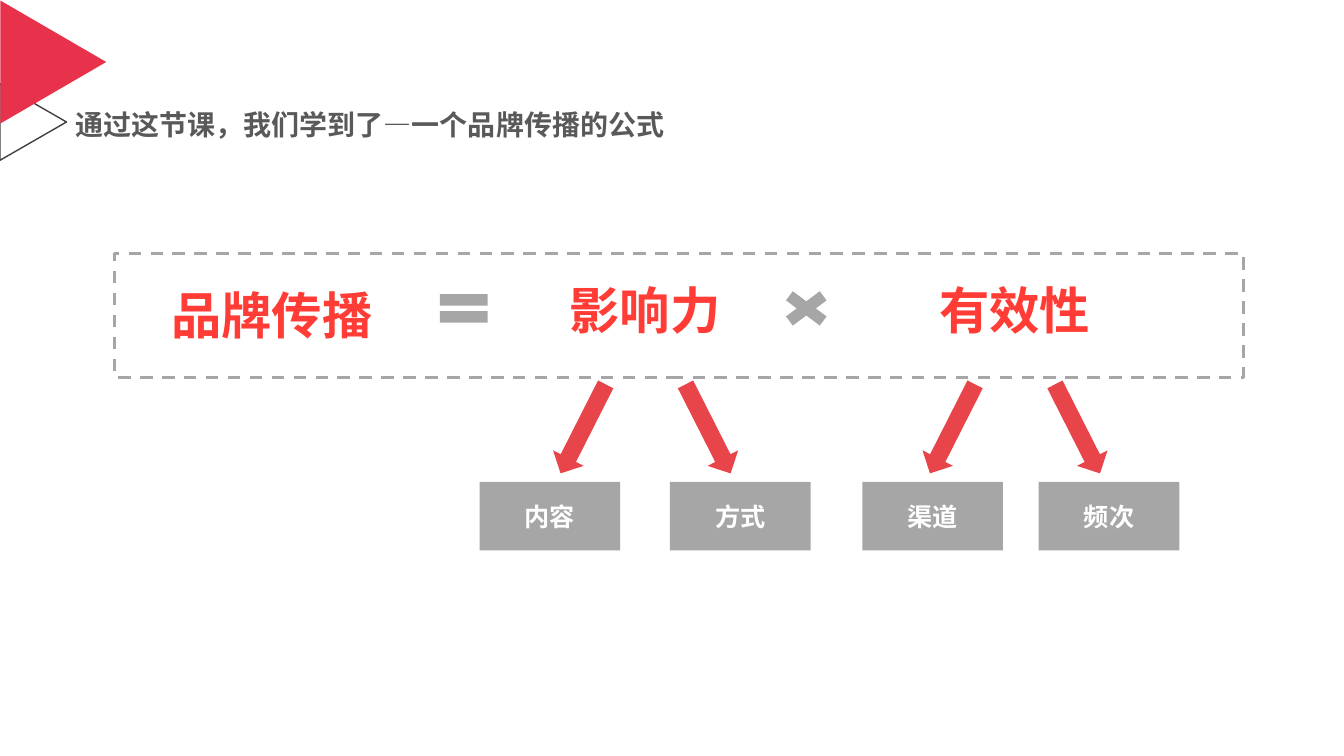
from lxml.etree import SubElement
from pptx import Presentation
from pptx.dml.color import RGBColor
from pptx.enum.dml import MSO_LINE
from pptx.enum.shapes import MSO_SHAPE as Preset
from pptx.enum.text import MSO_ANCHOR as Anchor, MSO_AUTO_SIZE as AutoSize, PP_ALIGN as Align
from pptx.oxml.ns import qn
from pptx.util import Pt

FONT = "Noto Sans CJK SC"
COLORS = {
    "corner": "E8314A",
    "outline": "404040",
    "title": "595959",
    "term": "FF3D36",
    "arrow": "E8454A",
    "gray": "A6A6A6",
    "white": "FFFFFF",
}


def color(name):
    return RGBColor.from_string(COLORS[name])


def write_text(shape, text, *, size, fill, align=Align.LEFT, anchor=Anchor.TOP,
               wrap=False, margin=None, spacing=None):
    frame = shape.text_frame
    frame.word_wrap = wrap
    frame.vertical_anchor = anchor
    frame.auto_size = AutoSize.NONE if wrap else AutoSize.SHAPE_TO_FIT_TEXT
    if margin is not None:
        frame.margin_left = frame.margin_right = Pt(margin)
        frame.margin_top = frame.margin_bottom = Pt(margin)
    paragraph = frame.paragraphs[0]
    paragraph.alignment = align
    if spacing:
        paragraph.line_spacing = spacing
    run = paragraph.add_run()
    run.text = text
    run.font.size = Pt(size)
    run.font.bold = True
    run.font.color.rgb = color(fill)
    run.font.name = FONT
    SubElement(run.font._element, qn("a:ea"), typeface=FONT)


def add_text(slide, text, left, top, width, height, **text_format):
    box = slide.shapes.add_textbox(Pt(left), Pt(top), Pt(width), Pt(height))
    write_text(box, text, **text_format)


def add_preset(slide, preset, left, top, width, height, fill=None, line=None,
               line_width=1, dash=None, rotation=0):
    shape = slide.shapes.add_shape(preset, Pt(left), Pt(top), Pt(width), Pt(height))
    shape.shadow.inherit = False
    shape.rotation = rotation
    if fill:
        shape.fill.solid()
        shape.fill.fore_color.rgb = color(fill)
    else:
        shape.fill.background()
    if line:
        shape.line.color.rgb = color(line)
        shape.line.width = Pt(line_width)
        shape.line.dash_style = dash
    else:
        shape.line.fill.background()
    return shape


def add_factor(slide, term, left, parts):
    add_text(slide, term, left, 195.8, 123.8, 51.1, size=36, fill="term")
    for offset, rotation in ((4.5, 26.9), (93.8, 333.1)):
        add_preset(slide, Preset.DOWN_ARROW, left + offset, 270.7, 24.5, 71.3,
                   fill="arrow", rotation=rotation)
    for label, box_left in parts:
        box = add_preset(slide, Preset.RECTANGLE, box_left, 344.2, 100.5, 49, fill="gray")
        write_text(box, label, size=18, fill="white", align=Align.CENTER,
                   anchor=Anchor.MIDDLE, wrap=True)


def main():
    presentation = Presentation()
    presentation.slide_width = Pt(960.48)
    presentation.slide_height = Pt(540)
    slide = presentation.slides.add_slide(presentation.slide_layouts[6])

    add_preset(slide, Preset.ISOSCELES_TRIANGLE, -3.6, 63.4, 54.7, 47.5,
               line="outline", rotation=90)
    add_preset(slide, Preset.ISOSCELES_TRIANGLE, -5.8, 6.5, 87.8, 75.6,
               fill="corner", rotation=90)
    add_text(slide, "通过这节课，我们学到了—一个品牌传播的公式", 50.4, 75.6, 433.4, 29.5,
             size=20, fill="title", anchor=Anchor.MIDDLE, margin=3.6, spacing=0.9)

    add_preset(slide, Preset.RECTANGLE, 82.1, 180.9, 806.4, 88.6,
               line="gray", line_width=2.25, dash=MSO_LINE.DASH)
    add_text(slide, "品牌传播", 115.2, 199.4, 159.8, 51.1, size=36, fill="term")
    for operator, left in ((Preset.MATH_EQUAL, 308.2), (Preset.MATH_MULTIPLY, 553)):
        add_preset(slide, operator, left, 203, 46.5, 34.6, fill="gray")

    add_factor(slide, "影响力", 400, [("内容", 342.7), ("方式", 478.8)])
    add_factor(slide, "有效性", 664, [("渠道", 616.3), ("频次", 742.3)])

    presentation.save("out.pptx")


if __name__ == "__main__":
    main()
